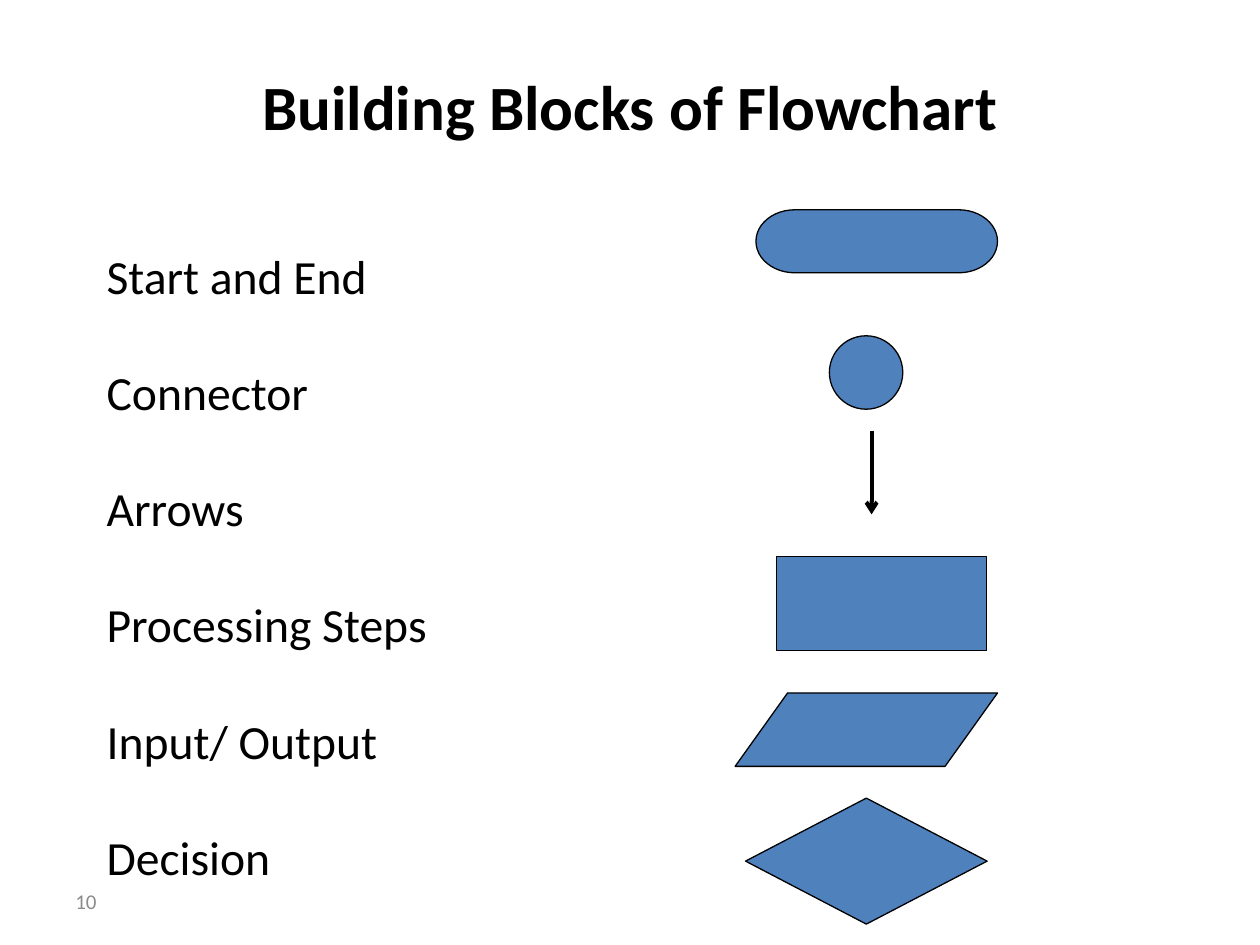
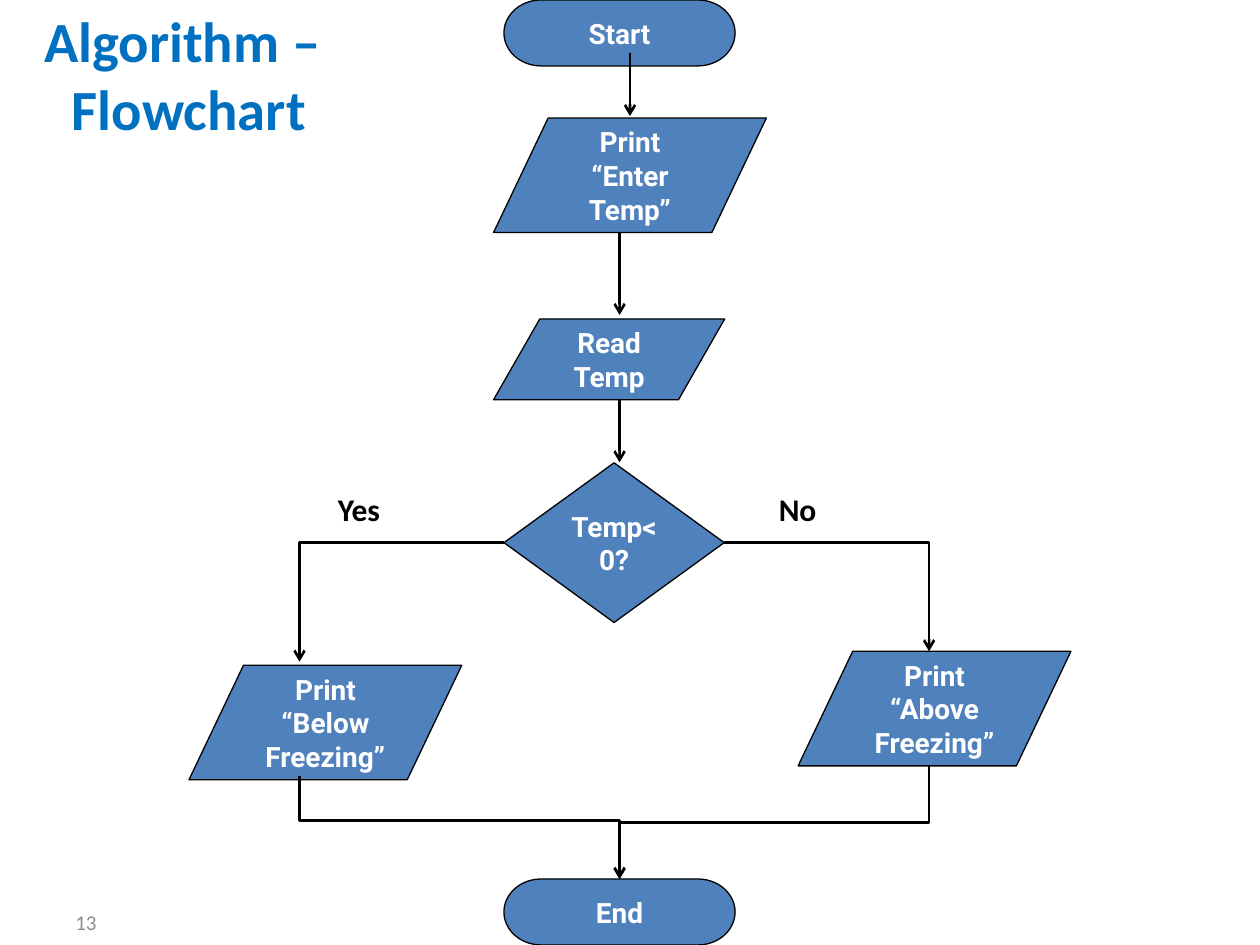
from dataclasses import dataclass

from lxml.etree import SubElement
from pptx import Presentation
from pptx.dml.color import RGBColor
from pptx.enum.shapes import MSO_CONNECTOR as Link, MSO_SHAPE as Preset
from pptx.enum.text import MSO_ANCHOR as Anchor, PP_ALIGN as Align
from pptx.oxml.ns import qn
from pptx.util import Cm, Pt


@dataclass(frozen=True)
class Theme:
    font: str = "Calibri"
    shape_font: str = "Roboto"
    black: RGBColor = RGBColor(0x00, 0x00, 0x00)
    white: RGBColor = RGBColor(0xFF, 0xFF, 0xFF)
    grey: RGBColor = RGBColor(0x8C, 0x8C, 0x8C)
    title_blue: RGBColor = RGBColor(0x00, 0x70, 0xC0)
    shape_blue: RGBColor = RGBColor(0x4F, 0x81, 0xBD)
    title_size: float = 36
    small_title_size: float = 32.4
    body_size: float = 27.2
    branch_size: float = 18
    shape_size: float = 16
    number_size: float = 12
    outline: float = 0.75
    arrow: float = 1.5
    thick_arrow: float = 2.25


THEME = Theme()


def add_run(paragraph, text, size, color, bold=False, font=THEME.font):
    run = paragraph.add_run()
    run.text = text
    run.font.name = font
    run.font.size = Pt(size)
    run.font.bold = bold
    run.font.color.rgb = color


def add_text_frame(slide, left, top, width, height, anchor=Anchor.TOP):
    frame = slide.shapes.add_textbox(Cm(left), Cm(top), Cm(width), Cm(height)).text_frame
    frame.word_wrap = True
    frame.vertical_anchor = anchor
    return frame


def add_title(slide, box, lines, size, color):
    paragraph = add_text_frame(slide, *box, Anchor.MIDDLE).paragraphs[0]
    paragraph.alignment = Align.CENTER
    for index, line in enumerate(lines):
        if index:
            paragraph.add_line_break()
        add_run(paragraph, line, size, color, bold=True)


def add_slide_number(slide, number, top):
    frame = add_text_frame(slide, 1.27, top, 5.92, 1.02, Anchor.MIDDLE)
    add_run(frame.paragraphs[0], number, THEME.number_size, THEME.grey)


def add_terms(slide, terms):
    frame = add_text_frame(slide, 1.9, 3.81, 21.6, 14.6)
    for index, term in enumerate(terms):
        paragraph = frame.add_paragraph() if index else frame.paragraphs[0]
        paragraph.line_spacing = 1.9
        if index:
            paragraph.space_before = Pt(4.4)
        add_run(paragraph, term, THEME.body_size, THEME.black)


def add_symbol(slide, preset, left, top, width, height, text=""):
    shape = slide.shapes.add_shape(preset, Cm(left), Cm(top), Cm(width), Cm(height))
    shape.shadow.inherit = False
    shape.fill.solid()
    shape.fill.fore_color.rgb = THEME.shape_blue
    shape.line.color.rgb = THEME.black
    shape.line.width = Pt(THEME.outline)
    if text:
        frame = shape.text_frame
        frame.word_wrap = True
        frame.vertical_anchor = Anchor.MIDDLE
        frame.paragraphs[0].alignment = Align.CENTER
        add_run(frame.paragraphs[0], text, THEME.shape_size, THEME.white, True,
                THEME.shape_font)


def add_branch_label(slide, text, left):
    frame = add_text_frame(slide, left, 9.75, 3.39, 1.02)
    add_run(frame.paragraphs[0], text, THEME.branch_size, THEME.black, bold=True)


def add_arrow(slide, start, end, kind=Link.STRAIGHT, width=THEME.arrow):
    connector = slide.shapes.add_connector(kind, *map(Cm, (*start, *end)))
    connector.line.color.rgb = THEME.black
    connector.line.width = Pt(width)
    properties = connector._element.spPr
    SubElement(properties.find(qn("a:ln")), qn("a:tailEnd"), type="arrow")
    SubElement(properties, qn("a:effectLst"))
    return connector


def add_branch_arrow(slide, start, end):
    """Arrow that runs sideways, then down."""
    connector = add_arrow(slide, start, end, Link.ELBOW)
    connector._element.spPr.find(qn("a:prstGeom")).set("prst", "bentConnector2")


def add_merge_arrow(slide, start, end, bend):
    """Arrow that runs down, sideways and down; bend is the share of the first drop."""
    (x1, y1), (x2, y2) = start, end
    half_drop, half_run = (y2 - y1) / 2, abs(x2 - x1) / 2
    middle_x, middle_y = (x1 + x2) / 2, (y1 + y2) / 2
    to_right = x2 > x1
    if to_right:
        half_drop = -half_drop
    connector = add_arrow(slide, (middle_x - half_drop, middle_y - half_run),
                          (middle_x + half_drop, middle_y + half_run), Link.ELBOW)
    connector.rotation = 0 if not hasattr(connector, "rotation") else connector.rotation
    properties = connector._element.spPr
    properties.find(qn("a:xfrm")).set("rot", str((270 if to_right else 90) * 60000))
    adjustments = properties.find(qn("a:prstGeom")).find(qn("a:avLst"))
    SubElement(adjustments, qn("a:gd"), name="adj1", fmla=f"val {round(bend * 100000)}")


def build_symbols_slide(slide):
    add_slide_number(slide, "10", 17.65)
    add_title(slide, (1.9, 0.64, 21.6, 2.97), ["Building Blocks of Flowchart"],
              THEME.title_size, THEME.black)
    add_terms(slide, ["Start and End", "Connector", "Arrows", "Processing Steps",
                      "Input/ Output", "Decision"])
    for symbol in (
        (Preset.FLOWCHART_TERMINATOR, 15.24, 4.23, 4.87, 1.27),
        (Preset.FLOWCHART_CONNECTOR, 16.72, 6.77, 1.48, 1.48),
        (Preset.FLOWCHART_PROCESS, 15.66, 11.22, 4.23, 1.9),
        (Preset.FLOWCHART_DATA, 14.82, 13.97, 5.29, 1.48),
        (Preset.FLOWCHART_DECISION, 15.03, 16.09, 4.87, 2.54),
    ):
        add_symbol(slide, *symbol)
    add_arrow(slide, (17.57, 8.68), (17.57, 10.37), width=THEME.thick_arrow)


def build_flowchart_slide(slide):
    axis, left_axis, right_axis = 12.49, 6.04, 18.73
    decision_y, end_top = 10.94, 17.72
    terminal_size, print_size = (4.66, 1.33), (5.5, 2.31)

    add_slide_number(slide, "13", 18.08)
    add_title(slide, (0, 0, 7.62, 2.97), ["Algorithm – ", "Flowchart"],
              THEME.small_title_size, THEME.title_blue)
    add_arrow(slide, (axis, 7.62), (axis, 9.32))
    add_arrow(slide, (axis, 4.67), (axis, 6.35))

    for left, top, text in (
        (9.95, 2.38, "Print “Enter Temp”"),
        (3.81, 13.41, "Print “Below Freezing”"),
        (16.09, 13.13, "Print “Above Freezing”"),
    ):
        add_symbol(slide, Preset.FLOWCHART_DATA, left, top, *print_size, text)
    for top, text in ((0, "Start"), (end_top, "End")):
        add_symbol(slide, Preset.FLOWCHART_TERMINATOR, 10.16, top, *terminal_size, text)
    add_symbol(slide, Preset.FLOWCHART_DATA, 9.95, 6.43, 4.66, 1.63, "Read Temp")
    add_symbol(slide, Preset.FLOWCHART_DECISION, 10.16, 9.33, 4.44, 3.22, "Temp<0?")

    add_arrow(slide, (12.7, 1.07), (12.7, 2.34))
    add_branch_arrow(slide, (14.6, decision_y), (right_axis, 13.13))
    add_branch_arrow(slide, (10.16, decision_y), (left_axis, 13.34))
    add_merge_arrow(slide, (right_axis, 15.44), (axis, end_top), 0.5)
    add_merge_arrow(slide, (left_axis, 15.65), (axis, end_top), 0.43)
    add_branch_label(slide, "Yes", 6.56)
    add_branch_label(slide, "No", 15.45)


def main():
    presentation = Presentation()
    presentation.slide_width, presentation.slide_height = Cm(25.4), Cm(19.05)
    blank = presentation.slide_layouts[6]
    for build_slide in (build_symbols_slide, build_flowchart_slide):
        build_slide(presentation.slides.add_slide(blank))
    presentation.save("out.pptx")


if __name__ == "__main__":
    main()
